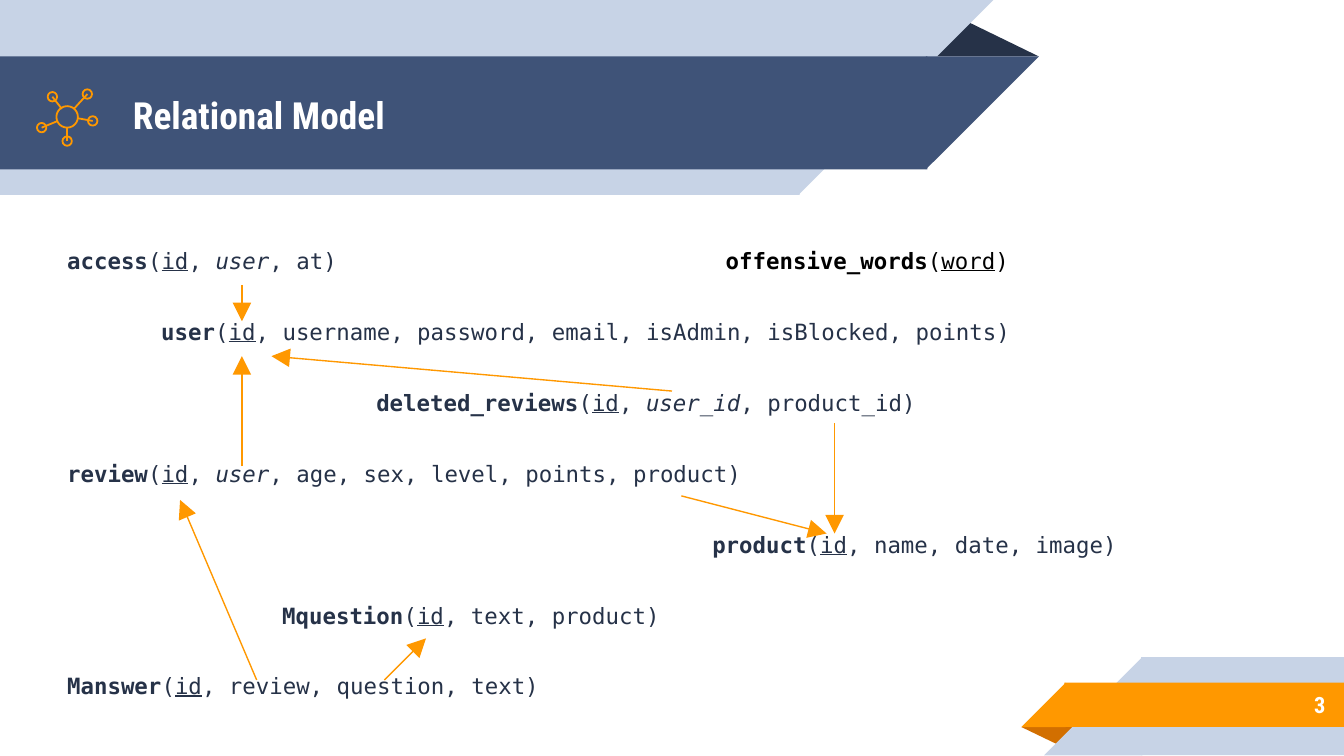
from pptx import Presentation
from pptx import util as u
from pptx.dml.color import RGBColor
from pptx.enum import shapes, text
from pptx.oxml import ns
from lxml import etree

PALE = RGBColor(0xC7, 0xD3, 0xE6)
BLUE = RGBColor(0x3F, 0x53, 0x78)
DARK = RGBColor(0x26, 0x32, 0x48)
GOLD = RGBColor(0xFF, 0x98, 0x00)
RUST = RGBColor(0xD2, 0x6F, 0x00)
WHITE = RGBColor(0xFF, 0xFF, 0xFF)
BLACK = RGBColor(0, 0, 0)
HEAD = "Roboto Condensed"
MONO = "DejaVu Sans Mono"
KIND = shapes.MSO_SHAPE
LAP = 0.01


class Deck:
    def __init__(self, slide):
        self.slide = slide

    def shape(self, kind, x, y, w, h, fill=None, line=None, turn=0, flip=False):
        item = self.slide.shapes.add_shape(kind, *map(u.Inches, (x, y, w, h)))
        item.shadow.inherit = False
        item.rotation = turn
        if flip:
            item._element.spPr.xfrm.set("flipH", "1")
        if fill is None:
            item.fill.background()
        else:
            item.fill.solid()
            item.fill.fore_color.rgb = fill
        if line is None:
            item.line.fill.background()
        else:
            item.line.color.rgb = line
            item.line.width = u.Pt(0.96)
        return item

    def band(self, x, y, w, h, fill, turn=0):
        left = x if turn else x + h - LAP
        tip = x + w if turn else x
        self.shape(KIND.RECTANGLE, left, y, w + LAP, h, fill, turn=turn, flip=True)
        self.shape(KIND.RIGHT_TRIANGLE, tip, y, h, h, fill, turn=turn, flip=True)

    def fold(self, x, y, w, h, fill, turn=0):
        item = self.shape(KIND.ISOSCELES_TRIANGLE, x, y, w, h, fill, turn=turn)
        item.adjustments[0] = 0.324

    def ring(self, x, y, size):
        self.shape(KIND.OVAL, x - size / 2, y - size / 2, size, size, line=GOLD)

    def line(self, start, end, width, arrow=False):
        item = self.slide.shapes.add_connector(
            shapes.MSO_CONNECTOR.STRAIGHT, *map(u.Inches, (*start, *end)))
        item.line.color.rgb = GOLD
        item.line.width = u.Pt(width)
        if arrow:
            etree.SubElement(item.line._get_or_add_ln(), ns.qn("a:tailEnd"),
                             type="triangle", w="lg", len="lg")
        etree.SubElement(item._element.spPr, ns.qn("a:effectLst"))

    def box(self, x, y, w, h, left=0.1):
        frame = self.slide.shapes.add_textbox(*map(u.Inches, (x, y, w, h))).text_frame
        frame.word_wrap = True
        frame.vertical_anchor = text.MSO_ANCHOR.MIDDLE
        frame.margin_left, frame.margin_right = u.Inches(left), u.Inches(0.1)
        frame.margin_top = frame.margin_bottom = u.Inches(0.1)
        return frame

    def run(self, para, words, size, face, color, style=""):
        run = para.add_run()
        run.text = words
        font = run.font
        font.size, font.name, font.color.rgb = u.Pt(size), face, color
        font.bold = "b" in style
        font.italic = "i" in style
        font.underline = "u" in style

    def label(self, place, words, size, align=text.PP_ALIGN.LEFT):
        para = self.box(*place).paragraphs[0]
        para.alignment = align
        self.run(para, words, size, HEAD, WHITE, "b")

    def model(self, para, name, key, rest, color=DARK):
        parts = [(name, "b"), ("(", ""), (key, "u"), *rest]
        for words, style in parts:
            self.run(para, words, 12, MONO, color, style)

    def indent(self, para, inset):
        props = para._p.get_or_add_pPr()
        props.set("marL", "0")
        props.set("indent", str(u.Inches(inset)))

    def tab(self, para, stop):
        tabs = etree.SubElement(para._p.get_or_add_pPr(), ns.qn("a:tabLst"))
        etree.SubElement(tabs, ns.qn("a:tab"), pos=str(u.Inches(stop)), algn="l")
        self.run(para, "\t", 12, MONO, DARK)


ROWS = [
    (0, "access", [(", ", ""), ("user", "i"), (", at)", "")]),
    (0.7, "user", [(", username, password, email, isAdmin, isBlocked, points)", "")]),
    (2.3, "deleted_reviews", [(", ", ""), ("user_id", "i"), (", product_id)", "")]),
    (0, "review", [(", ", ""), ("user", "i"),
                   (", age, sex, level, points, product)", "")]),
    (4.8, "product", [(", name, date, image)", "")]),
    (1.6, "Mquestion", [(", text, product)", "")]),
    (0, "Manswer", [(", review, question, text)", "")]),
]
LINKS = [
    ((1.8, 2.12), (1.8, 2.39)),
    ((5, 2.91), (2.02, 2.65)),
    ((1.8, 3.47), (1.8, 2.65)),
    ((6.21, 3.15), (6.21, 3.97)),
    ((2.86, 5.06), (3.17, 4.75)),
    ((1.91, 5.06), (1.34, 3.72)),
    ((5.07, 3.69), (6.15, 3.97)),
]
NODES = [
    ((0.65, 0.7), (0.55, 0.81)),
    ((0.39, 0.72), (0.46, 0.81)),
    ((0.31, 0.95), (0.43, 0.9)),
    ((0.5, 1.05), (0.5, 0.95)),
    ((0.69, 0.9), (0.58, 0.88)),
]


def main():
    show = Presentation()
    show.slide_width, show.slide_height = u.Inches(10), u.Inches(10 * 9 / 16)
    deck = Deck(show.slides.add_slide(show.slide_layouts[6]))

    deck.fold(7.6, 5.41, 0.43, 0.14, RUST, 180)
    deck.band(7.77, 4.89, 1.5, 0.73, PALE)
    deck.band(7.6, 5.08, 2.07, 0.33, GOLD)
    deck.fold(6.88, 0.14, 0.85, 0.28, DARK)
    deck.band(0, 0, 5.94, 1.45, PALE, 180)
    deck.band(0, 0.42, 6.89, 0.84, BLUE, 180)
    deck.label((0.89, 0.43, 6.01, 0.84), "Relational Model", 20)
    deck.label((8.33, 5.07, 1.63, 0.35), "3", 12, text.PP_ALIGN.RIGHT)

    deck.ring(0.5, 0.87, 0.16)
    for spot, hub in NODES:
        deck.ring(*spot, 0.07)
        deck.line(spot, hub, 0.96)

    frame = deck.box(0.3, 1.66, 9.16, 3.75, left=0.2)
    for row, (inset, name, rest) in enumerate(ROWS):
        para = frame.add_paragraph() if row else frame.paragraphs[0]
        para.line_spacing = 0.9
        para.space_before = u.Pt(25 if row else 0)
        if inset:
            deck.indent(para, inset)
        deck.model(para, name, "id", rest)
        if row == 0:
            deck.tab(para, 4.9)
            deck.model(para, "offensive_words", "word", [(")", "")], BLACK)

    for start, end in LINKS:
        deck.line(start, end, 0.75, True)
    show.save("out.pptx")


if __name__ == "__main__":
    main()
